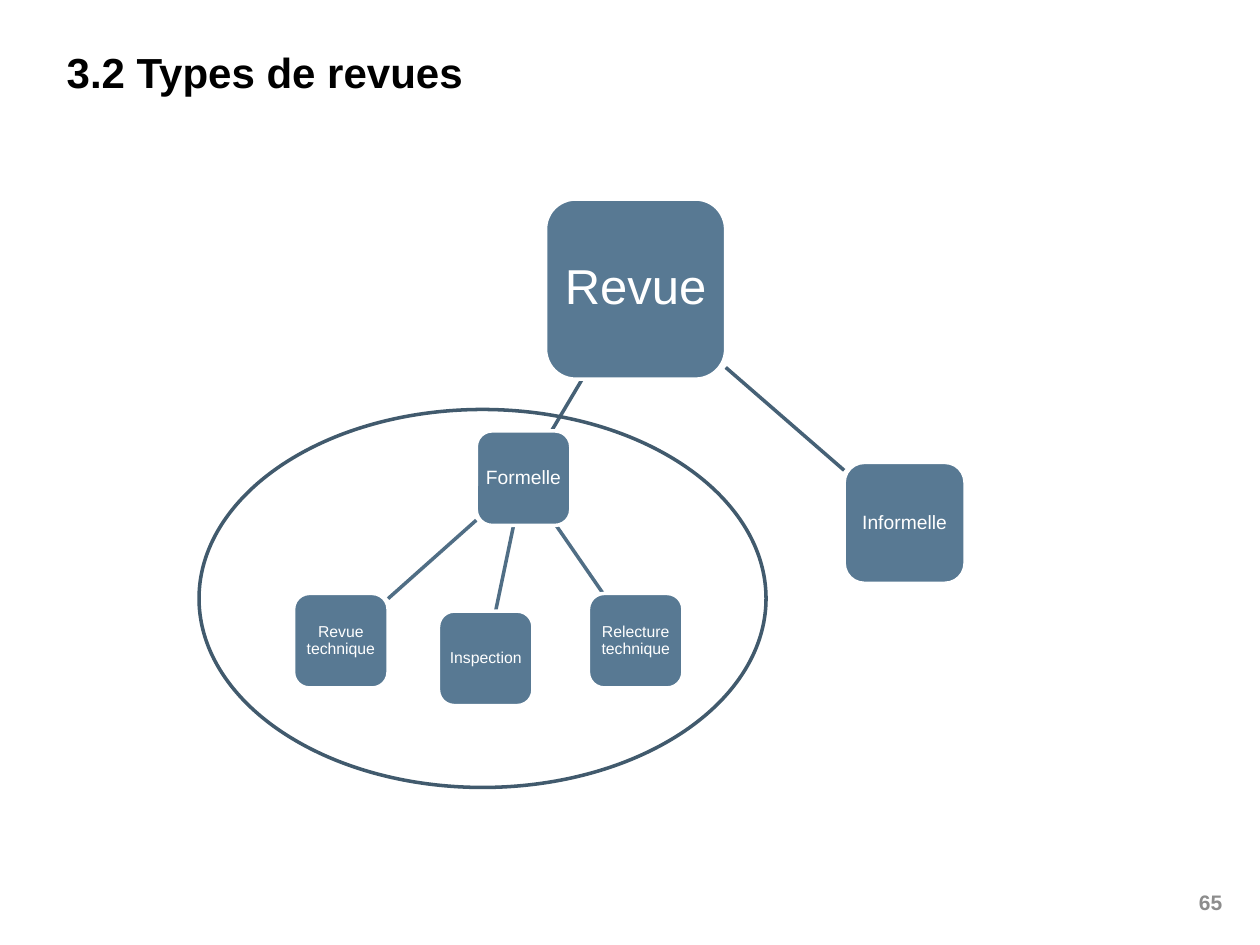
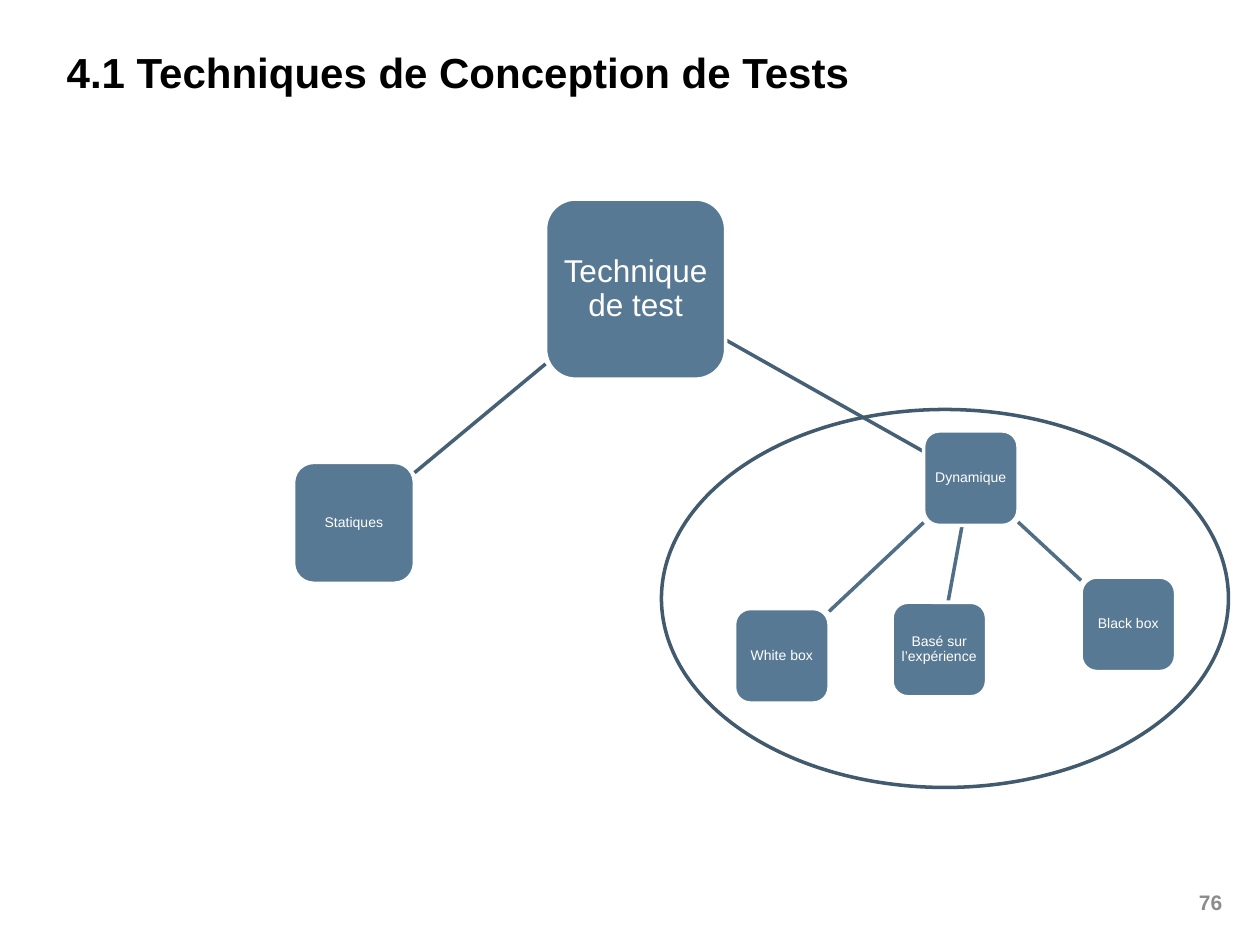
"""Build two tree slides on review types and test design techniques."""
from dataclasses import dataclass

from lxml.etree import SubElement
from pptx import Presentation
from pptx.dml.color import RGBColor
from pptx.enum.shapes import MSO_CONNECTOR, MSO_SHAPE
from pptx.enum.text import MSO_ANCHOR, PP_ALIGN
from pptx.oxml.ns import qn
from pptx.util import Inches, Pt


@dataclass(frozen=True)
class Theme:
    font: str = "Arial"
    ink: str = "000000"
    grey: str = "8C8C8C"
    white: str = "FFFFFF"
    box: str = "587993"
    ring: str = "415A6D"
    links: tuple = ("466176", "506E85")
    title: int = 24
    page: int = 12
    line: int = 2


THEME = Theme()
ROOT, MID, SMALL = 1.43, 0.96, 0.75
RING_TOP, RING_WIDE, RING_HIGH = 3.25, 4.5, 3

SLIDES = [
    {
        "title": "3.2 Types de revues",
        "page": "65",
        "ring": 1.58,
        "pads": (0.08, 0.03),
        "nodes": [
            ("Revue", 4.33, 1.58, ROOT, 28, None),
            ("Formelle", 3.78, 3.42, SMALL, 11, "Revue"),
            ("Inspection", 3.48, 4.85, SMALL, 9, "Formelle"),
            ("Relecture technique", 4.67, 4.71, SMALL, 9, "Formelle"),
            ("Revue technique", 2.33, 4.71, SMALL, 9, "Formelle"),
            ("Informelle", 6.7, 3.67, MID, 11, "Revue"),
        ],
    },
    {
        "title": "4.1 Techniques de Conception de Tests",
        "page": "76",
        "ring": 5.25,
        "pads": (0.05, 0.02),
        "nodes": [
            ("Technique de test", 4.33, 1.58, ROOT, 18, None),
            ("Dynamique", 7.33, 3.42, SMALL, 8, "Technique de test"),
            ("Basé sur l’expérience", 7.08, 4.78, SMALL, 8, "Dynamique"),
            ("Black box", 8.58, 4.58, SMALL, 8, "Dynamique"),
            ("White box", 5.83, 4.83, SMALL, 8, "Dynamique"),
            ("Statiques", 2.33, 3.67, MID, 8, "Technique de test"),
        ],
    },
]


def color(code):
    return RGBColor.from_string(code)


def write(shape, text, size, code, align, pad=0, bold=False):
    frame = shape.text_frame
    frame.word_wrap = True
    frame.margin_left = frame.margin_right = Inches(pad)
    frame.margin_top = frame.margin_bottom = Inches(pad)
    par = frame.paragraphs[0]
    par.alignment = align
    run = par.add_run()
    run.text = text
    run.font.name = THEME.font
    run.font.size = Pt(size)
    run.font.bold = bold
    run.font.color.rgb = color(code)
    return frame


def add_label(slide, spot, text, size, code, align):
    label = slide.shapes.add_textbox(*map(Inches, spot))
    frame = write(label, text, size, code, align, bold=True)
    frame.vertical_anchor = MSO_ANCHOR.TOP


def center(node):
    _, left, top, side, _, _ = node
    return left + side / 2, top + side / 2


def edge(node, goal):
    """Find where the line from a node's centre to a goal leaves its box."""
    x, y = center(node)
    dx, dy = goal[0] - x, goal[1] - y
    part = node[3] / 2 / max(abs(dx), abs(dy))
    return x + dx * part, y + dy * part


def add_link(slide, head, node, code):
    ends = *edge(head, center(node)), *edge(node, center(head))
    link = slide.shapes.add_connector(MSO_CONNECTOR.STRAIGHT, *map(Inches, ends))
    link.line.color.rgb = color(code)
    link.line.width = Pt(THEME.line)
    SubElement(link._element.spPr, qn("a:effectLst"))


def add_shape(slide, kind, spot, line, fill=None):
    shape = slide.shapes.add_shape(kind, *map(Inches, spot))
    shape.shadow.inherit = False
    shape.line.color.rgb = color(line)
    shape.line.width = Pt(THEME.line)
    if fill:
        shape.fill.solid()
        shape.fill.fore_color.rgb = color(fill)
    else:
        shape.fill.background()
    return shape


def add_box(slide, node, pad):
    text, left, top, side, size, _ = node
    box = add_shape(slide, MSO_SHAPE.ROUNDED_RECTANGLE, (left, top, side, side),
                    THEME.white, THEME.box)
    frame = write(box, text, size, THEME.white, PP_ALIGN.CENTER, pad)
    frame.vertical_anchor = MSO_ANCHOR.MIDDLE
    frame.paragraphs[0].line_spacing = 0.9


def add_tree(slide, nodes, pads):
    names = {node[0]: node for node in nodes}
    for node in nodes:
        head = names.get(node[5])
        if head:
            add_link(slide, head, node, THEME.links[head[5] is not None])
    for node in nodes:
        add_box(slide, node, pads[node[5] is not None])


def main():
    deck = Presentation()
    deck.slide_width, deck.slide_height = Inches(10), Inches(7.5)
    for data in SLIDES:
        slide = deck.slides.add_slide(deck.slide_layouts[6])
        add_label(slide, (0.53, 0.37, 9.17, 0.59), data["title"],
                  THEME.title, THEME.ink, PP_ALIGN.LEFT)
        add_tree(slide, data["nodes"], data["pads"])
        add_label(slide, (9.31, 7.06, 0.39, 0.2), data["page"],
                  THEME.page, THEME.grey, PP_ALIGN.RIGHT)
        add_shape(slide, MSO_SHAPE.OVAL,
                  (data["ring"], RING_TOP, RING_WIDE, RING_HIGH), THEME.ring)
    deck.save("out.pptx")


if __name__ == "__main__":
    main()
